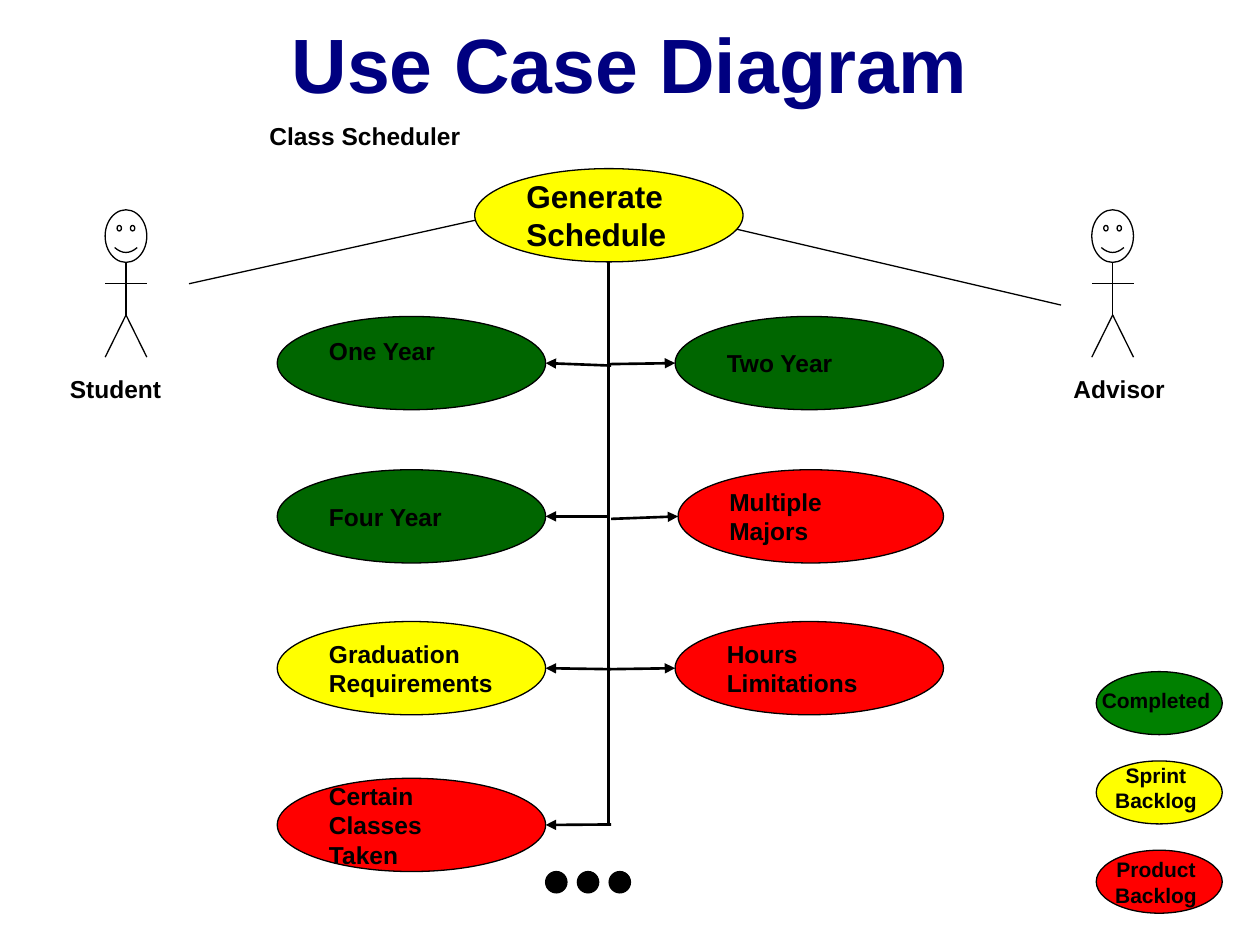
from pptx import Presentation
from pptx import util as u
from pptx.dml.color import RGBColor
from pptx.enum import shapes, text
from pptx.oxml import ns
from lxml import etree

BLACK = RGBColor(0, 0, 0)
NAVY = RGBColor(0, 0, 0x80)
DARK_GREEN = RGBColor(0, 0x66, 0)
GREEN = RGBColor(0, 0x80, 0)
YELLOW = RGBColor(0xFF, 0xFF, 0)
RED = RGBColor(0xFF, 0, 0)
LEFT, CENTER = text.PP_ALIGN.LEFT, text.PP_ALIGN.CENTER
TOP, MIDDLE = text.MSO_ANCHOR.TOP, text.MSO_ANCHOR.MIDDLE
OVAL = shapes.MSO_SHAPE.OVAL

presentation = Presentation()
presentation.slide_width = u.Cm(25.4)
presentation.slide_height = u.Cm(19.05)
slide = presentation.slides.add_slide(presentation.slide_layouts[6])


def add_item(parent, box, words="", size=14, kind=None, fill=None,
             color=BLACK, align=LEFT, anchor=TOP):
    """Add a text box, or an outlined shape if a kind is given."""
    lengths = [u.Cm(value) for value in box]
    if kind is None:
        shape = parent.add_textbox(*lengths)
    else:
        shape = parent.add_shape(kind, *lengths)
        shape.shadow.inherit = False
        shape.line.color.rgb = BLACK
        shape.line.width = u.Pt(0.75)
        if fill is None:
            shape.fill.background()
        else:
            shape.fill.solid()
            shape.fill.fore_color.rgb = fill
    if words:
        frame = shape.text_frame
        frame.text = words
        frame.word_wrap = True
        frame.vertical_anchor = anchor
        for paragraph in frame.paragraphs:
            paragraph.alignment = align
            font = paragraph.runs[0].font
            font.name, font.size, font.bold = "Arial", u.Pt(size), True
            font.color.rgb = color


def add_line(parent, x1, y1, x2, y2, width=0.75, arrow=False):
    """Add a straight black line, with an arrowhead at its end if asked."""
    line = parent.add_connector(shapes.MSO_CONNECTOR.STRAIGHT,
                                u.Cm(x1), u.Cm(y1), u.Cm(x2), u.Cm(y2))
    line.line.color.rgb = BLACK
    line.line.width = u.Pt(width)
    if arrow:
        etree.SubElement(line.line._get_or_add_ln(), ns.qn("a:tailEnd"), type="triangle")
    etree.SubElement(line._element.spPr, ns.qn("a:effectLst"))


# Title and system name
add_item(slide.shapes, (1.9, 0.2, 21.6, 2.12), "Use Case Diagram", 44,
         color=NAVY, align=CENTER, anchor=MIDDLE)
add_item(slide.shapes, (5.18, 2.31, 4.6, 2.03), "Class Scheduler")

# Actors: a face, a body, two legs and the arms
for name, center, label_left in (("Student", 2.54, 1.16), ("Advisor", 22.43, 21.39)):
    actor = slide.shapes.add_group_shape().shapes
    half = 0.42
    add_item(actor, (center - half, 4.23, 2 * half, 1.06),
             kind=shapes.MSO_SHAPE.SMILEY_FACE)
    add_line(actor, center, 5.29, center, 6.35)
    for side in (-half, half):
        add_line(actor, center, 6.35, center + side, 7.2)
    add_line(actor, center - half, 5.72, center + half, 5.72)
    add_item(slide.shapes, (label_left, 7.41, 3, 0.85), name)

# Associations from the actors to the main use case
add_line(slide.shapes, 3.81, 5.72, 9.58, 4.44)
add_line(slide.shapes, 21.39, 6.15, 14.55, 4.55)

# Ellipsis dots
for index in range(3):
    add_item(slide.shapes, (11 + 0.64 * index, 17.57, 0.43, 0.43), kind=OVAL, fill=BLACK)

# Legend
legend = (("Completed", GREEN, 13.74), ("Sprint\nBacklog", YELLOW, 15.24),
          ("Product\nBacklog", RED, 17.15))
for index, (words, fill, text_top) in enumerate(legend):
    add_item(slide.shapes, (22.1, 13.54 + 1.8 * index, 2.54, 1.27), kind=OVAL, fill=fill)
    add_item(slide.shapes, (21.59, text_top, 3.43, 1.27), words, 12, align=CENTER)

# Trunk below the main use case
TRUNK = 12.27
CASE_WIDTH, CASE_HEIGHT = 5.41, 1.88
add_line(slide.shapes, TRUNK, 5.28, TRUNK, 16.66, 1.5)

# Use cases: words, fill, left, top, anchor, and where the arrow leaves the trunk
LEFT_COLUMN, RIGHT_COLUMN = 5.59, 13.61
cases = (
    ("One Year", DARK_GREEN, LEFT_COLUMN, 6.38, TOP, 12.32, 7.37),
    ("Two Year", DARK_GREEN, RIGHT_COLUMN, 6.38, MIDDLE, TRUNK, 7.34),
    ("Four Year", DARK_GREEN, LEFT_COLUMN, 9.47, MIDDLE, 12.24, 10.41),
    ("Multiple Majors", RED, 13.67, 9.47, MIDDLE, 12.32, 10.46),
    ("Graduation Requirements", YELLOW, LEFT_COLUMN, 12.53, MIDDLE, 12.32, 13.49),
    ("Hours Limitations", RED, RIGHT_COLUMN, 12.53, MIDDLE, TRUNK, 13.49),
    ("Certain Classes Taken", RED, LEFT_COLUMN, 15.69, MIDDLE, 12.32, 16.62),
)
for words, fill, left, top, anchor, start_x, start_y in cases:
    width = min(CASE_WIDTH, RIGHT_COLUMN + CASE_WIDTH - left)
    add_item(slide.shapes, (left, top, width, CASE_HEIGHT), words,
             kind=OVAL, fill=fill, anchor=anchor)
    end_x = left + width if left < TRUNK else left
    add_line(slide.shapes, start_x, start_y, end_x, top + CASE_HEIGHT / 2, 1.5, True)

# Main use case
add_item(slide.shapes, (9.57, 3.4, CASE_WIDTH, CASE_HEIGHT), "Generate Schedule", 18,
         kind=OVAL, fill=YELLOW, anchor=MIDDLE)

presentation.save("out.pptx")
